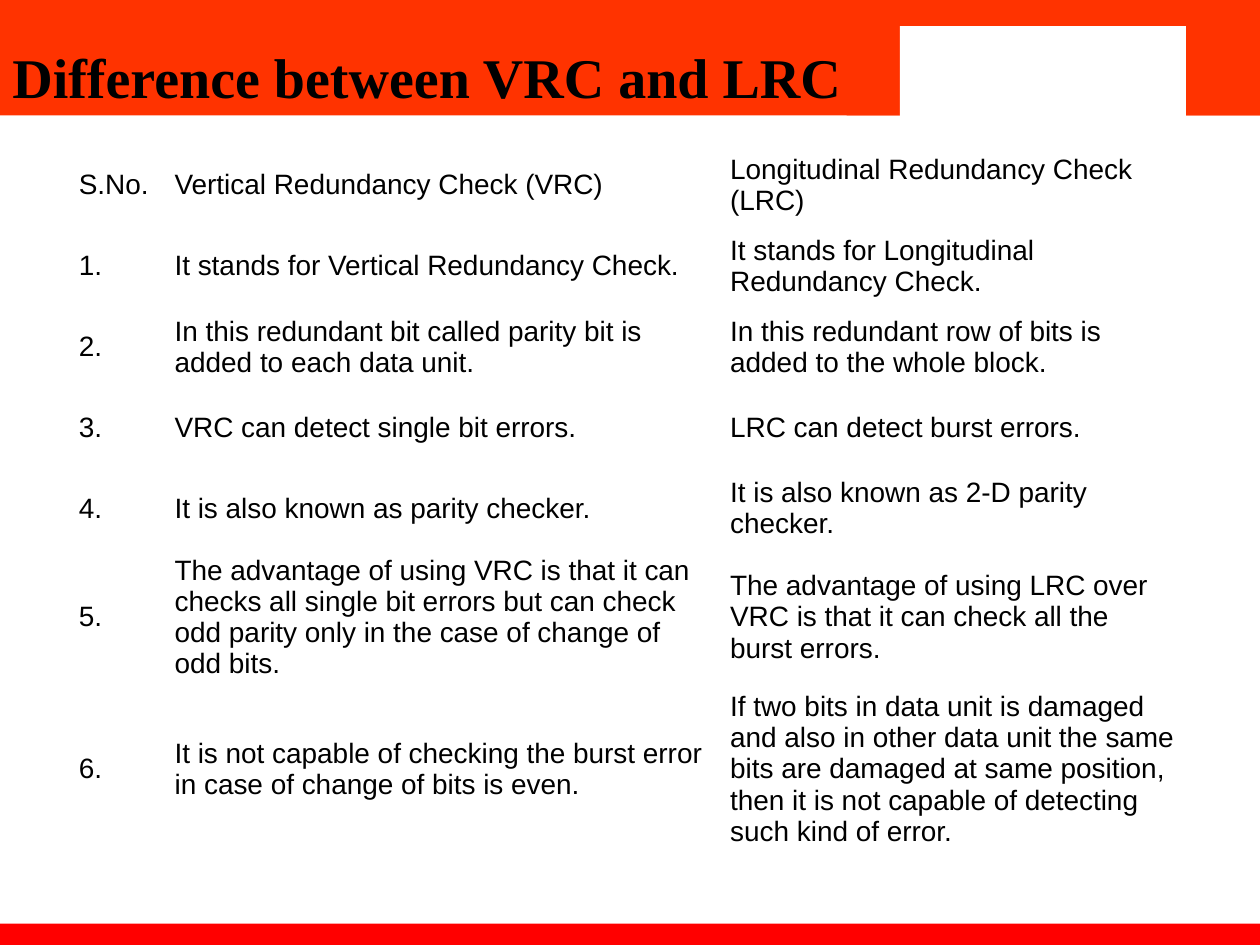
"""Build a slide that compares VRC with LRC in a table."""
from pptx import Presentation
from pptx.dml.color import RGBColor
from pptx.enum.shapes import MSO_SHAPE
from pptx.enum.text import MSO_ANCHOR, MSO_AUTO_SIZE, PP_ALIGN
from pptx.util import Cm, Pt

COLORS = {"header": "FF3300", "footer": "FF0000", "paper": "FFFFFF", "ink": "000000"}

BANDS = [
    ("header", 0, 0, 25.4, 2.33),
    ("footer", 0, 18.62, 25.4, 0.43),
    ("header", 17.07, 0, 8.33, 2.33),
    ("paper", 18.14, 0.53, 5.77, 1.91),
]

COLUMN_WIDTHS = [1.93, 11.2, 9.45]
ROW_HEIGHT = 1.63
HEADINGS = ("S.No.", "Vertical Redundancy Check (VRC)", "Longitudinal Redundancy Check (LRC)")
DIFFERENCES = [
    ("It stands for Vertical Redundancy Check.",
     "It stands for Longitudinal Redundancy Check."),
    ("In this redundant bit called parity bit is added to each data unit.",
     "In this redundant row of bits is added to the whole block."),
    ("VRC can detect single bit errors.",
     "LRC can detect burst errors."),
    ("It is also known as parity checker.",
     "It is also known as 2-D parity checker."),
    ("The advantage of using VRC is that it can checks all single bit errors "
     "but can check odd parity only in the case of change of odd bits.",
     "The advantage of using LRC over VRC is that it can check all the burst errors."),
    ("It is not capable of checking the burst error in case of change of bits is even.",
     "If two bits in data unit is damaged and also in other data unit the same bits "
     "are damaged at same position, then it is not capable of detecting such kind of error."),
]


def color(name):
    """Return the named palette color."""
    return RGBColor.from_string(COLORS[name])


def style_font(para, family, size, bold=False):
    """Set the font of a whole paragraph."""
    font = para.font
    font.name, font.size, font.bold = family, Pt(size), bold
    font.color.rgb = color("ink")


def add_band(page, fill, left, top, width, height):
    """Add a plain filled rectangle."""
    band = page.shapes.add_shape(
        MSO_SHAPE.RECTANGLE, Cm(left), Cm(top), Cm(width), Cm(height))
    band.shadow.inherit = False
    band.fill.solid()
    band.fill.fore_color.rgb = color(fill)
    band.line.fill.background()


def fill_cell(cell, text):
    """Write text into an unfilled, vertically centred cell."""
    cell.fill.background()
    cell.vertical_anchor = MSO_ANCHOR.MIDDLE
    cell.margin_left = cell.margin_right = Cm(0.24)
    cell.margin_top = cell.margin_bottom = Cm(0.12)
    cell.text = text
    style_font(cell.text_frame.paragraphs[0], "Arial", 16)


def add_comparison(page):
    """Add the table of numbered differences."""
    rows = [HEADINGS] + [
        (f"{number}.", *pair) for number, pair in enumerate(DIFFERENCES, 1)]
    table = page.shapes.add_table(
        len(rows), len(COLUMN_WIDTHS), Cm(1.35), Cm(2.92),
        Cm(sum(COLUMN_WIDTHS)), Cm(ROW_HEIGHT * len(rows))).table
    table.first_row = table.horz_banding = False
    for column, width in zip(table.columns, COLUMN_WIDTHS):
        column.width = Cm(width)
    for row, texts in zip(table.rows, rows):
        row.height = Cm(ROW_HEIGHT)
        for cell, text in zip(row.cells, texts):
            fill_cell(cell, text)


def add_title(page, text):
    """Add the bold slide title."""
    box = page.shapes.add_textbox(Cm(0), Cm(0.74), Cm(18.16), Cm(1.63))
    frame = box.text_frame
    frame.word_wrap = True
    frame.auto_size = MSO_AUTO_SIZE.SHAPE_TO_FIT_TEXT
    para = frame.paragraphs[0]
    para.text = text
    para.alignment = PP_ALIGN.JUSTIFY
    style_font(para, "Times New Roman", 32, bold=True)


def main():
    """Build and save the deck."""
    deck = Presentation()
    deck.slide_width, deck.slide_height = Cm(25.4), Cm(19.05)
    page = deck.slides.add_slide(deck.slide_layouts[6])
    for band in BANDS:
        add_band(page, *band)
    add_comparison(page)
    add_title(page, "Difference between VRC and LRC")
    deck.save("out.pptx")


if __name__ == "__main__":
    main()
